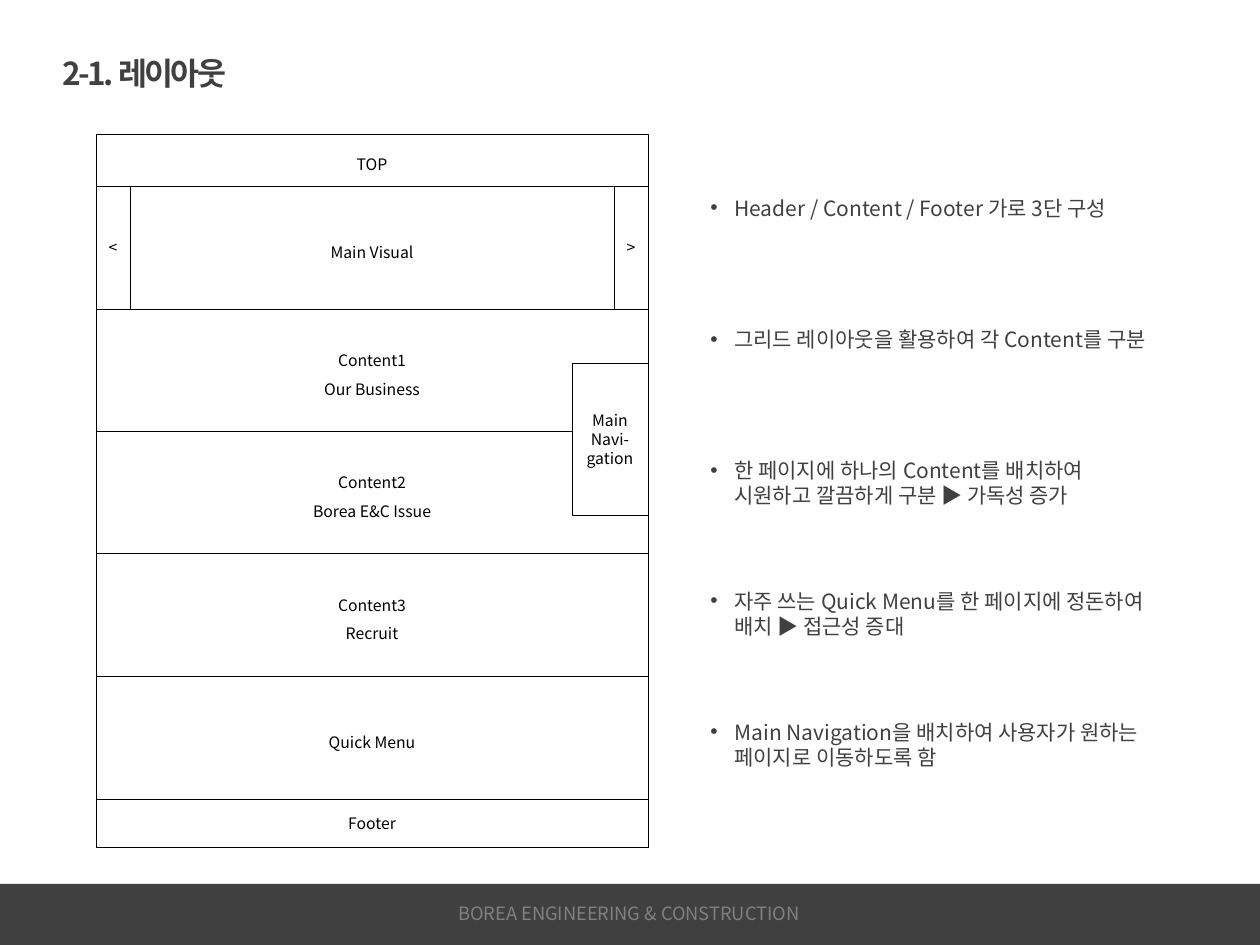
from itertools import pairwise

from lxml.etree import SubElement
from pptx import Presentation
from pptx.dml.color import RGBColor
from pptx.enum.shapes import MSO_SHAPE
from pptx.enum.text import MSO_ANCHOR, PP_ALIGN
from pptx.oxml.ns import qn
from pptx.util import Emu, Pt

PX = 914400 / 126
FONT = "Noto Sans CJK KR"
COLORS = {"dark": "404040", "gray": "808080", "black": "000000", "white": "FFFFFF"}

FRAME_X, FRAME_W = 96, 552
ROW_EDGES = [134, 186, 309, 431, 553, 676, 799, 847]
ROWS = [
    ["TOP"],
    ["Main Visual"],
    ["Content1", "Our Business"],
    ["Content2", "Borea E&C Issue"],
    ["Content3", "Recruit"],
    ["Quick Menu"],
    ["Footer"],
]
ARROW_W = 34
NAV_W = 76

NOTE_Y, NOTE_STEP, NOTE_INDENT = 189, 131, 24
NOTES = [
    "Header / Content / Footer 가로 3단 구성",
    "그리드 레이아웃을 활용하여 각 Content를 구분",
    "한 페이지에 하나의 Content를 배치하여 시원하고 깔끔하게 구분 ▶ 가독성 증가",
    "자주 쓰는 Quick Menu를 한 페이지에 정돈하여 배치 ▶ 접근성 증대",
    "Main Navigation을 배치하여 사용자가 원하는 페이지로 이동하도록 함",
]


def px(*values):
    return [Emu(round(v * PX)) for v in values]


def rgb(name):
    return RGBColor.from_string(COLORS[name])


def write(tf, lines, color, font, para=None):
    """Fill a text frame, one paragraph a line, with font and paragraph formats."""
    tf.word_wrap = True
    for i, line in enumerate(lines):
        p = tf.paragraphs[0] if i == 0 else tf.add_paragraph()
        for name, value in (para or {}).items():
            setattr(p, name, value)
        r = p.add_run()
        r.text = line
        for name, value in {"name": FONT, **font}.items():
            setattr(r.font, name, value)
        r.font.color.rgb = rgb(color)
        SubElement(r.font._element, qn("a:ea"), typeface=FONT)


def add_text(s, box, text, color, font, para=None):
    tf = s.shapes.add_textbox(*px(*box)).text_frame
    write(tf, [text], color, font, para)
    return tf.paragraphs[0]


def add_rect(s, box, fill=None, line=None):
    sp = s.shapes.add_shape(MSO_SHAPE.RECTANGLE, *px(*box))
    sp.shadow.inherit = False
    if fill:
        sp.fill.solid()
        sp.fill.fore_color.rgb = rgb(fill)
    else:
        sp.fill.background()
    if line:
        sp.line.color.rgb = rgb(line)
        sp.line.width = Pt(0.25)
    else:
        sp.line.fill.background()
    return sp


def add_block(s, box, lines, fill=None, spacing=1.0):
    """Add one outlined area of the wireframe with centred labels."""
    tf = add_rect(s, box, fill, "black").text_frame
    tf.vertical_anchor = MSO_ANCHOR.MIDDLE
    write(tf, lines, "black", {"size": Pt(9)},
          {"alignment": PP_ALIGN.CENTER, "line_spacing": spacing})


def add_wireframe(s):
    for lines, (top, bottom) in zip(ROWS, pairwise(ROW_EDGES)):
        spacing = 1.0 if lines == ["Footer"] else 1.5
        add_block(s, (FRAME_X, top, FRAME_W, bottom - top), lines, spacing=spacing)
    right = FRAME_X + FRAME_W
    add_block(s, (right - NAV_W, 363, NAV_W, 152), ["Main", "Navi-gation"], "white")
    top, bottom = ROW_EDGES[1:3]
    for x, label in ((FRAME_X, "<"), (right - ARROW_W, ">")):
        add_block(s, (x, top, ARROW_W, bottom - top), [label], "white")


def add_note(s, y, text):
    p = add_text(s, (698, y, 475, 63), text, "dark", {"size": Pt(12)})
    pPr = p._p.get_or_add_pPr()
    indent = px(NOTE_INDENT)[0]
    pPr.set("marL", str(indent))
    pPr.set("indent", str(-indent))
    SubElement(pPr, qn("a:buFont"), typeface="Arial")
    SubElement(pPr, qn("a:buChar"), char="•")


def add_title(s, text):
    p = add_text(s, (50, 48, 750, 50), text, "dark", {"size": Pt(18), "bold": True})
    p.runs[0].font._element.set("spc", "-150")


def add_footer(s, text):
    add_rect(s, (0, 884, 1260, 61), "dark")
    add_text(s, (254, 896, 750, 36), text, "gray", {"size": Pt(10.5)},
             {"alignment": PP_ALIGN.CENTER})


def main():
    prs = Presentation()
    prs.slide_width, prs.slide_height = px(1260, 945)
    s = prs.slides.add_slide(prs.slide_layouts[6])
    add_title(s, "2-1. 레이아웃")
    add_wireframe(s)
    for i, text in enumerate(NOTES):
        add_note(s, NOTE_Y + i * NOTE_STEP, text)
    add_footer(s, "BOREA ENGINEERING & CONSTRUCTION")
    prs.save("out.pptx")


if __name__ == "__main__":
    main()
